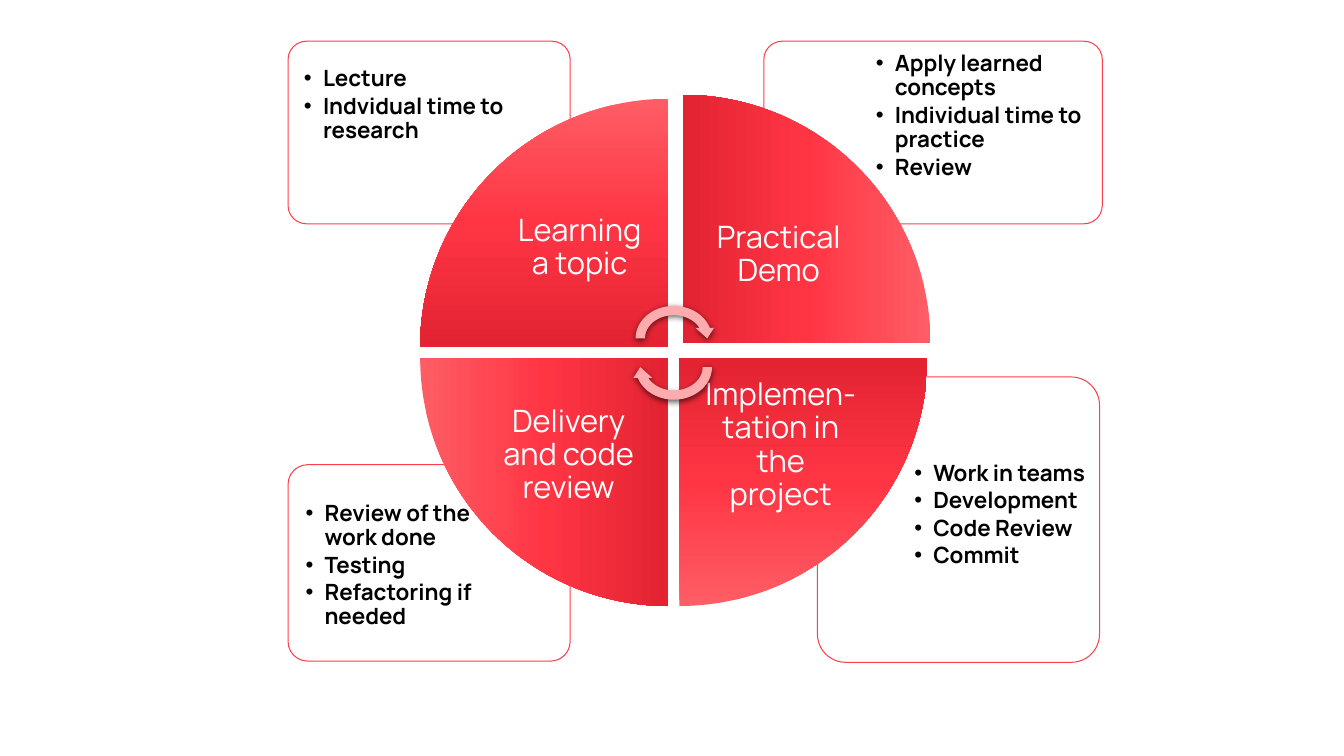
from lxml import etree
from pptx import Presentation
from pptx.dml.color import RGBColor
from pptx.enum.shapes import MSO_SHAPE
from pptx.enum.text import MSO_ANCHOR, MSO_AUTO_SIZE, PP_ALIGN
from pptx.oxml.ns import qn
from pptx.util import Cm, Pt
from copy import deepcopy

WEDGE, ARROW = MSO_SHAPE.PIE_WEDGE, MSO_SHAPE.CIRCULAR_ARROW
ROUND_RECT = MSO_SHAPE.ROUNDED_RECTANGLE
TOP, MIDDLE = MSO_ANCHOR.TOP, MSO_ANCHOR.MIDDLE
LEFT, CENTER = PP_ALIGN.LEFT, PP_ALIGN.CENTER
NO_AUTOFIT = MSO_AUTO_SIZE.NONE

BLACK = RGBColor(0x00, 0x00, 0x00)
WHITE = RGBColor(0xFF, 0xFF, 0xFF)
OUTLINE = RGBColor(0xFC, 0x40, 0x4D)
PINK = RGBColor(0xFE, 0xAB, 0xAE)
LIGHT_RED = RGBColor(0xFE, 0x5D, 0x65)
RED = RGBColor(0xFF, 0x35, 0x44)
DARK_RED = RGBColor(0xE3, 0x23, 0x32)

FONT = "Manrope"
WEDGE_SIZE = 6.25

# placeholder index, box, list area (left, top, width, height in cm), items
DETAILS = [
    (4, (20.6, 9.5, 7.11, 7.19), (22.86, 11.46, 4.93, 5.08),
     ["Work in teams", "Development", "Code Review", "Commit"]),
    (3, (7.26, 11.71, 7.11, 4.95), (7.52, 12.47, 4.95, 3.25),
     ["Review of the work done", "Testing", "Refactoring if needed"]),
    (2, (19.25, 1.04, 8.53, 4.6), (21.89, 1.14, 5.77, 3.25),
     ["Apply learned concepts", "Individual time to practice", "Review"]),
    (1, (7.26, 1.04, 7.11, 4.6), (7.48, 1.52, 6.35, 3.25),
     ["Lecture", "Indvidual time to research"]),
]

# wedge corner, label area, label paragraphs; clockwise from top left
STAGES = [
    ((10.59, 2.49), (12.4, 4.04, 4.42, 4.42), ["Learning a topic"]),
    ((17.2, 2.39), (17.2, 4.22, 4.85, 4.42), ["Practical", "Demo"]),
    ((17.12, 9.02), (17.12, 9.02, 5.11, 4.42), ["Implemen-tation in the", "project"]),
    ((10.59, 9.02), (12.12, 9.27, 4.42, 4.42), ["Delivery and code review"]),
]


def lengths(area):
    return [Cm(value) for value in area]


def add_bullet(p):
    pPr = p._p.get_or_add_pPr()
    pPr.set("marL", str(Cm(0.48)))
    pPr.set("indent", str(-Cm(0.48)))
    color = etree.SubElement(pPr, qn("a:buClr"))
    etree.SubElement(color, qn("a:srgbClr"), val=str(BLACK))
    etree.SubElement(pPr, qn("a:buFont"), typeface="Arial")
    etree.SubElement(pPr, qn("a:buChar"), char="•")


def write(tf, lines, *, size, color, bold=False, align=LEFT, anchor=TOP,
          inset=0.18, gap=0, bullets=False):
    tf.word_wrap = True
    tf.auto_size = NO_AUTOFIT
    tf.vertical_anchor = anchor
    tf.margin_left = tf.margin_right = tf.margin_top = tf.margin_bottom = Cm(inset)
    for i, line in enumerate(lines):
        p = tf.add_paragraph() if i else tf.paragraphs[0]
        p.alignment = align
        p.line_spacing = 0.9
        p.space_before = Pt(gap if i else 0)
        if bullets:
            add_bullet(p)
        r = p.add_run()
        r.text = line
        r.font.name = FONT
        r.font.size = Pt(size)
        r.font.bold = bold
        r.font.color.rgb = color


def add_plain_shape(s, kind, area, rotation=0):
    sp = s.shapes.add_shape(kind, *lengths(area))
    sp.rotation = rotation
    sp.shadow.inherit = False
    sp.line.fill.background()
    return sp


def add_box(s, area):
    sp = add_plain_shape(s, ROUND_RECT, area)
    sp.adjustments[0] = 0.1
    sp.fill.solid()
    sp.fill.fore_color.rgb = WHITE
    white = sp.element.spPr.find(qn("a:solidFill"))[0]
    etree.SubElement(white, qn("a:alpha"), val="89000")
    sp.line.color.rgb = OUTLINE
    sp.line.width = Pt(0.75)
    return sp


def add_list(s, box, idx, area, items):
    """Fill a body placeholder and stack it directly above its box."""
    ph = next(sp for sp in s.placeholders if sp.placeholder_format.idx == idx)
    ph.left, ph.top, ph.width, ph.height = lengths(area)
    write(ph.text_frame, items, size=16, color=BLACK, bold=True, gap=2.4, bullets=True)
    box.element.addnext(ph.element)


def add_wedge(s, corner, rotation):
    sp = add_plain_shape(s, WEDGE, (*corner, WEDGE_SIZE, WEDGE_SIZE), rotation)
    sp.fill.gradient()
    sp.fill.gradient_angle = 270
    stops = sp.element.spPr.find(qn("a:gradFill")).find(qn("a:gsLst"))
    stops.insert(1, deepcopy(stops[0]))
    for stop, position, color in zip(sp.fill.gradient_stops, (0, 0.5, 1),
                                     (LIGHT_RED, RED, DARK_RED)):
        stop.position = position
        stop.color.rgb = color


def add_label(s, area, lines):
    tb = s.shapes.add_textbox(*lengths(area))
    write(tb.text_frame, lines, size=22, color=WHITE, align=CENTER,
          anchor=MIDDLE, inset=0.43)


def add_cycle_arrow(s, top, rotation):
    sp = add_plain_shape(s, ARROW, (15.9, top, 2.16, 1.88), rotation)
    sp.fill.solid()
    sp.fill.fore_color.rgb = PINK
    effects = sp.element.spPr.find(qn("a:effectLst"))
    shadow = etree.SubElement(effects, qn("a:outerShdw"), blurRad=str(Pt(4.5)),
                              dist=str(Pt(1.5)), dir="5400000", rotWithShape="0")
    color = etree.SubElement(shadow, qn("a:srgbClr"), val=str(BLACK))
    etree.SubElement(color, qn("a:alpha"), val="62000")


def main():
    prs = Presentation()
    prs.slide_width, prs.slide_height = Cm(33.87), Cm(19.05)
    s = prs.slides.add_slide(prs.slide_layouts.get_by_name("Comparison"))
    title = s.shapes.title.element
    title.getparent().remove(title)

    for idx, box_area, list_area, items in DETAILS:
        add_list(s, add_box(s, box_area), idx, list_area, items)
    for i, (corner, label_area, lines) in enumerate(STAGES):
        add_wedge(s, corner, 90 * i)
        add_label(s, label_area, lines)
    add_cycle_arrow(s, 7.59, 0)
    add_cycle_arrow(s, 8.31, 180)
    prs.save("out.pptx")


if __name__ == "__main__":
    main()
